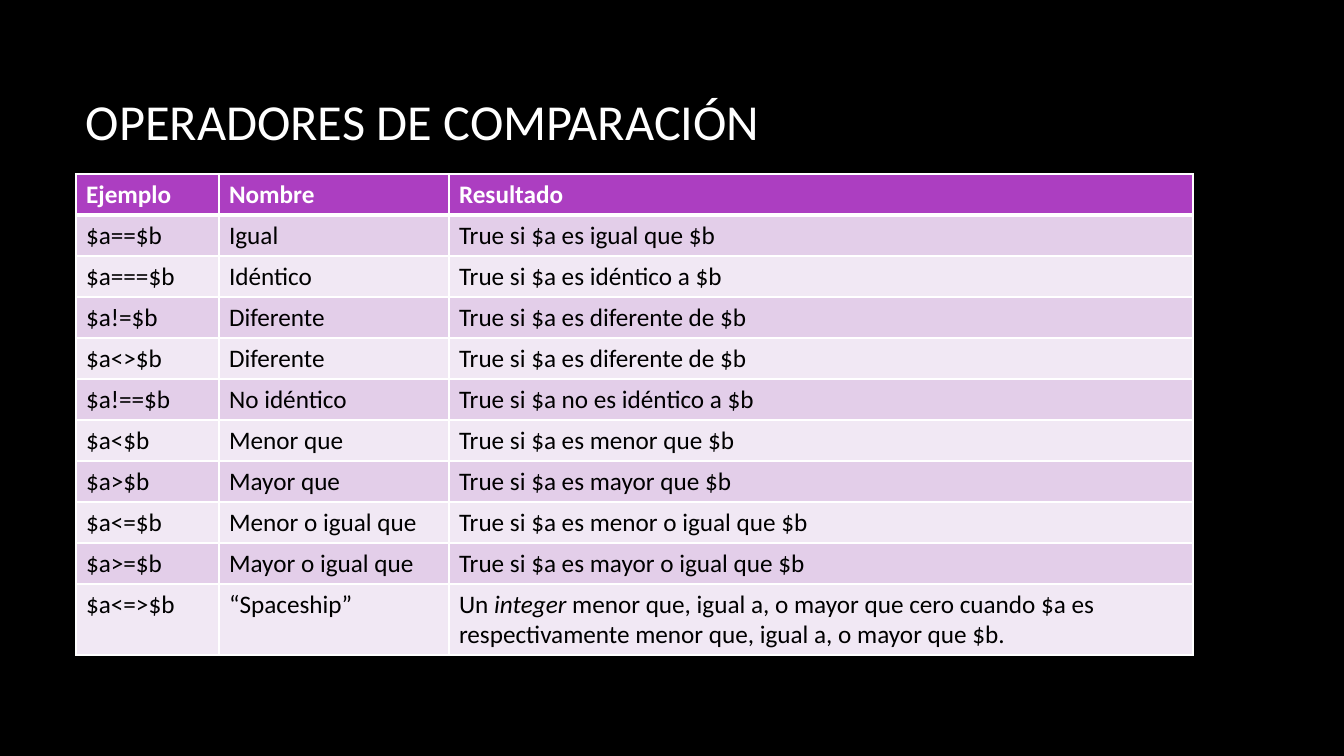
"""Build a slide with a table of comparison operators."""
from dataclasses import dataclass

from lxml import etree
from pptx import Presentation
from pptx import util as u
from pptx.dml import color
from pptx.enum import text
from pptx.oxml import ns

EMU_PER_PX = 12192000 / 1344
COLORS = {
    "background": "000000",
    "white": "FFFFFF",
    "black": "000000",
    "header": "AC3EC1",
    "odd": "E3CEE9",
    "even": "F1E8F4",
}
TABLE_LEFT, TABLE_TOP = 76, 174
COLUMN_WIDTHS = (143, 230, 744)
ROW_HEIGHT, LAST_ROW_HEIGHT = 41, 71
THIN, THICK = 1, 3


@dataclass(frozen=True)
class Operator:
    example: str
    name: str
    result: str
    emphasis: str = ""


HEADER = Operator("Ejemplo", "Nombre", "Resultado")
OPERATORS = (
    Operator("$a==$b", "Igual", "True si $a es igual que $b"),
    Operator("$a===$b", "Idéntico", "True si $a es idéntico a $b"),
    Operator("$a!=$b", "Diferente", "True si $a es diferente de $b"),
    Operator("$a<>$b", "Diferente", "True si $a es diferente de $b"),
    Operator("$a!==$b", "No idéntico", "True si $a no es idéntico a $b"),
    Operator("$a<$b", "Menor que", "True si $a es menor que $b"),
    Operator("$a>$b", "Mayor que", "True si $a es mayor que $b"),
    Operator("$a<=$b", "Menor o igual que", "True si $a es menor o igual que $b"),
    Operator("$a>=$b", "Mayor o igual que", "True si $a es mayor o igual que $b"),
    Operator(
        "$a<=>$b",
        "“Spaceship”",
        "Un integer menor que, igual a, o mayor que cero cuando $a es "
        "respectivamente menor que, igual a, o mayor que $b.",
        emphasis="integer",
    ),
)


def px(length: int) -> u.Emu:
    return u.Emu(round(length * EMU_PER_PX))


def rgb(name: str) -> color.RGBColor:
    return color.RGBColor.from_string(COLORS[name])


def add_run(paragraph, content: str, color_name: str, **format_values) -> None:
    run = paragraph.add_run()
    run.text = content
    for attribute, value in {"name": "Calibri", **format_values}.items():
        setattr(run.font, attribute, value)
    run.font.color.rgb = rgb(color_name)


def add_borders(cell, top: int, bottom: int) -> None:
    properties = cell._tc.get_or_add_tcPr()
    widths = {"a:lnL": THIN, "a:lnR": THIN, "a:lnT": top, "a:lnB": bottom}
    for position, (tag, width) in enumerate(widths.items()):
        line = etree.Element(ns.qn(tag), w=str(u.Pt(width)))
        fill = etree.SubElement(line, ns.qn("a:solidFill"))
        etree.SubElement(fill, ns.qn("a:srgbClr"), val=COLORS["white"])
        properties.insert(position, line)


def fill_cell(cell, content: str, emphasis: str, row: int) -> None:
    is_header = row == 0
    cell.fill.solid()
    cell.fill.fore_color.rgb = rgb("header" if is_header else "odd" if row % 2 else "even")
    add_borders(cell, THICK if row == 1 else THIN, THICK if is_header else THIN)
    before, middle, after = content.partition(emphasis) if emphasis else (content, "", "")
    for part, italic in ((before, False), (middle, True), (after, False)):
        if part:
            add_run(cell.text_frame.paragraphs[0], part, "white" if is_header else "black",
                    size=u.Pt(18), bold=is_header, italic=italic)


def add_title(slide, content: str) -> None:
    shape = slide.shapes.add_textbox(px(TABLE_LEFT), px(67), px(sum(COLUMN_WIDTHS)), px(107))
    frame_values = {"word_wrap": True, "vertical_anchor": text.MSO_ANCHOR.MIDDLE}
    for attribute, value in frame_values.items():
        setattr(shape.text_frame, attribute, value)
    add_run(shape.text_frame.paragraphs[0], content, "white", size=u.Pt(36))


def add_operator_table(slide) -> None:
    rows = (HEADER, *OPERATORS)
    height = ROW_HEIGHT * len(OPERATORS) + LAST_ROW_HEIGHT
    table = slide.shapes.add_table(
        len(rows), len(COLUMN_WIDTHS), px(TABLE_LEFT), px(TABLE_TOP),
        px(sum(COLUMN_WIDTHS)), px(height),
    ).table
    for column, width in zip(table.columns, COLUMN_WIDTHS):
        column.width = px(width)
    for index, operator in enumerate(rows):
        is_last = index == len(rows) - 1
        table.rows[index].height = px(LAST_ROW_HEIGHT if is_last else ROW_HEIGHT)
        fill_cell(table.cell(index, 0), operator.example, "", index)
        fill_cell(table.cell(index, 1), operator.name, "", index)
        fill_cell(table.cell(index, 2), operator.result, operator.emphasis, index)


def main() -> None:
    presentation = Presentation()
    presentation.slide_width, presentation.slide_height = px(1344), px(756)
    slide = presentation.slides.add_slide(presentation.slide_layouts[6])
    slide.background.fill.solid()
    slide.background.fill.fore_color.rgb = rgb("background")
    add_title(slide, "OPERADORES DE COMPARACIÓN")
    add_operator_table(slide)
    presentation.save("out.pptx")


if __name__ == "__main__":
    main()
